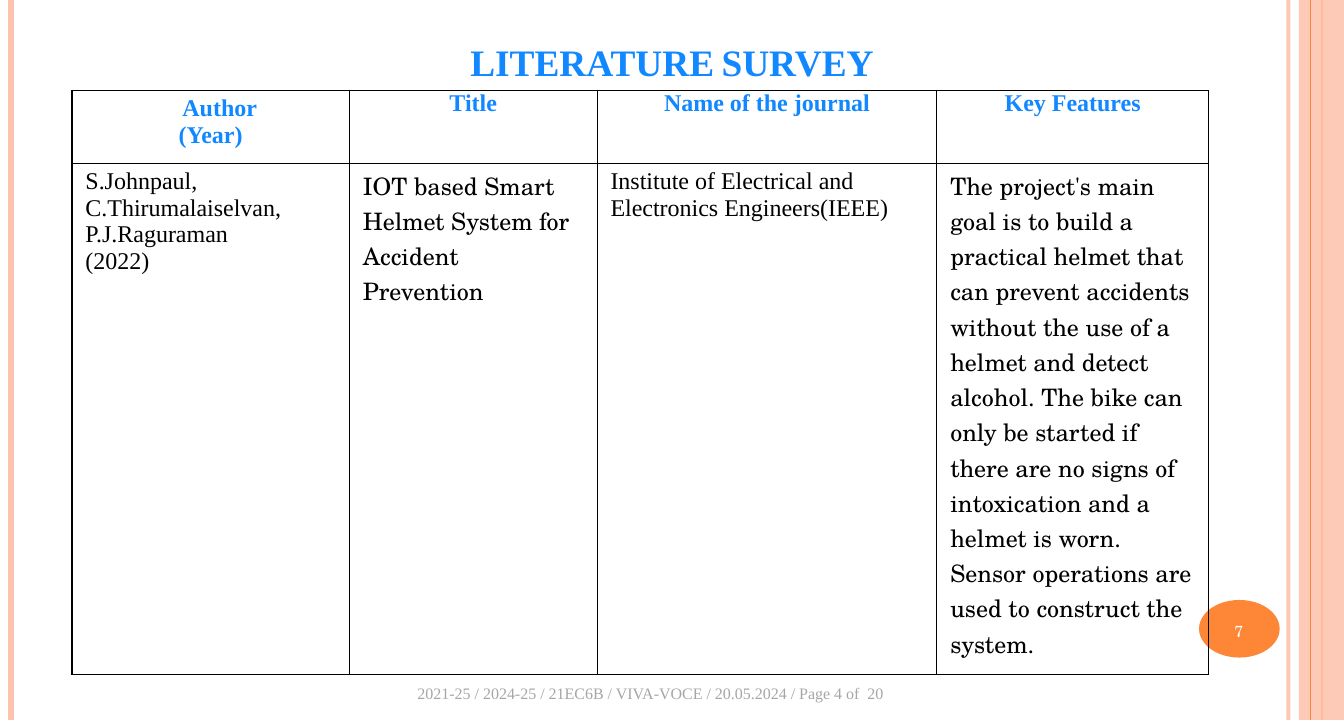
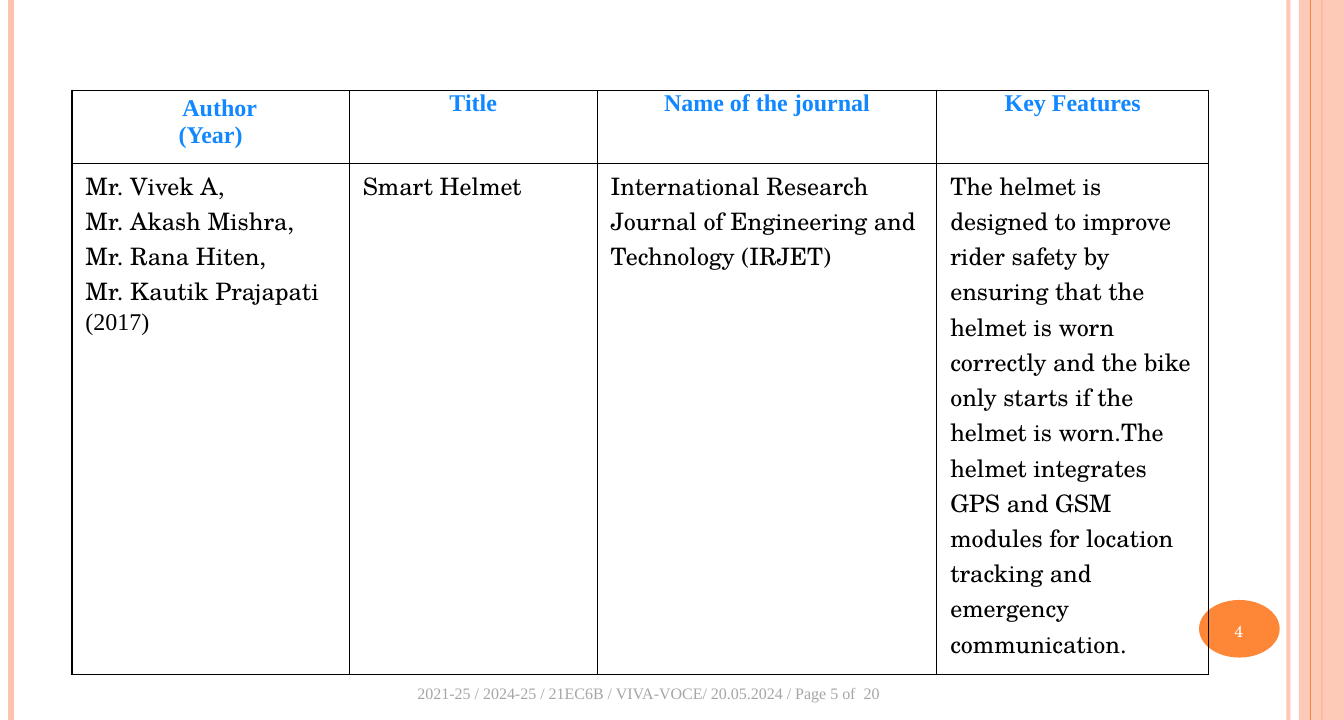
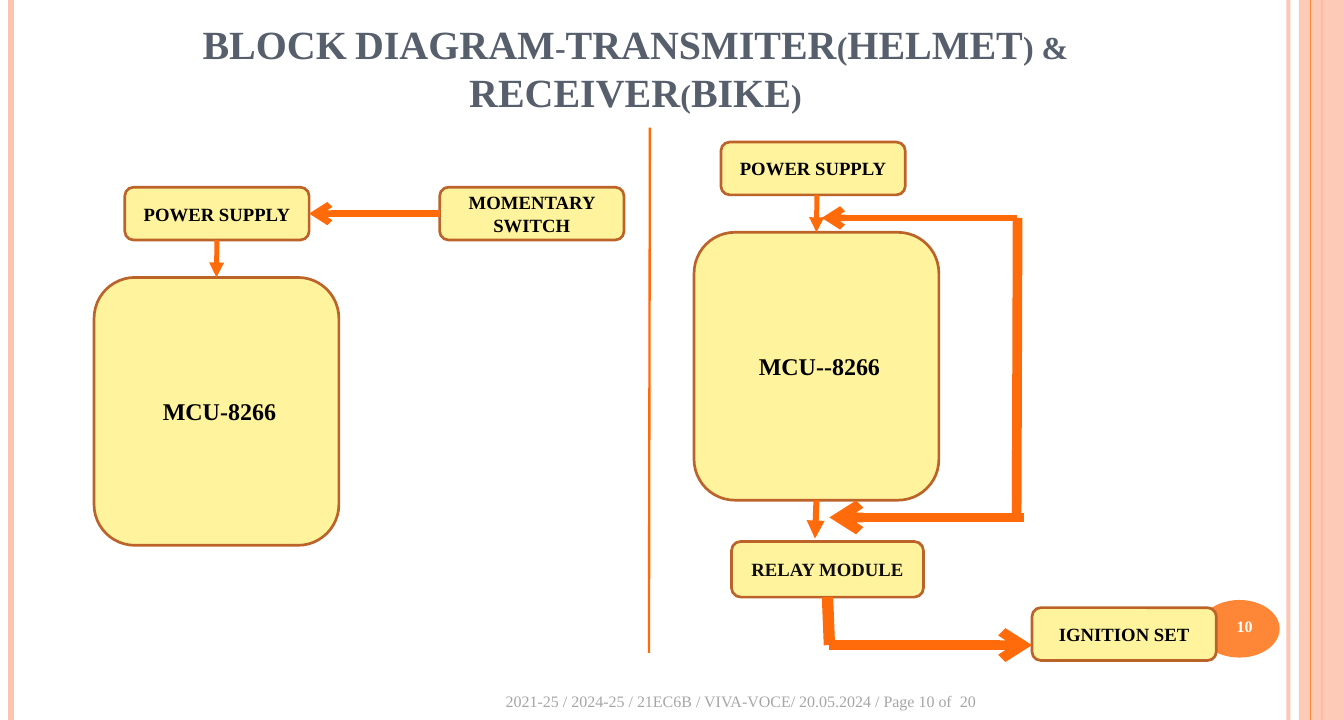
from dataclasses import dataclass
from typing import NamedTuple

from lxml.etree import SubElement
from pptx import Presentation
from pptx.dml.color import RGBColor
from pptx.enum.shapes import MSO_CONNECTOR, MSO_SHAPE
from pptx.enum.text import MSO_ANCHOR, PP_ALIGN
from pptx.oxml.ns import qn
from pptx.util import Inches, Pt

# Slide grid: 140 columns by 75 rows
SLIDE_WIDTH, SLIDE_HEIGHT = Inches(14), Inches(7.5)
COLUMNS, ROWS = 140, 75

STRAIGHT = MSO_CONNECTOR.STRAIGHT
RECTANGLE, ELLIPSE = MSO_SHAPE.RECTANGLE, MSO_SHAPE.OVAL
ROUNDED = MSO_SHAPE.ROUNDED_RECTANGLE
LEFT, CENTER = PP_ALIGN.LEFT, PP_ALIGN.CENTER
TOP, MIDDLE, BOTTOM = MSO_ANCHOR.TOP, MSO_ANCHOR.MIDDLE, MSO_ANCHOR.BOTTOM
TOP_SIDE, LEFT_SIDE, BOTTOM_SIDE, RIGHT_SIDE = range(4)

SERIF, SCHOOL = "Times New Roman", "TeX Gyre Schola"

PEACH = RGBColor(0xFE, 0xC3, 0xAE)
ORANGE = RGBColor(0xFE, 0x86, 0x37)
ARROW_ORANGE = RGBColor(0xFF, 0x6B, 0x0A)
BROWN = RGBColor(0xBC, 0x63, 0x29)
YELLOW = RGBColor(0xFF, 0xF3, 0x9D)
BLUE = RGBColor(0x11, 0x88, 0xFF)
SLATE = RGBColor(0x57, 0x5F, 0x6D)
GRAY = RGBColor(0xA6, 0xA6, 0xA6)
NEAR_BLACK = RGBColor(0x0D, 0x0D, 0x0D)
BLACK = RGBColor(0, 0, 0)
WHITE = RGBColor(0xFF, 0xFF, 0xFF)


class Area(NamedTuple):
    left: float
    top: float
    width: float
    height: float


class Stripe(NamedTuple):
    column: float
    color: RGBColor
    weight: float
    opacity: int = 100


class Join(NamedTuple):
    block: str
    side: int


@dataclass(frozen=True)
class Block:
    name: str
    text: str
    area: Area
    size: float = 14
    color: RGBColor = BLACK


@dataclass(frozen=True)
class Arrow:
    start: tuple[float, float]
    end: tuple[float, float]
    weight: float
    head: str = ""
    begin_join: Join | None = None
    end_join: Join | None = None


@dataclass(frozen=True)
class Line:
    text: str
    font: str = SCHOOL
    indent: float = 0


@dataclass(frozen=True)
class Survey:
    title: str
    cells: tuple[tuple[Line, ...], ...]
    footer: str
    number: str


def column(count: float) -> int:
    return round(SLIDE_WIDTH * count / COLUMNS)


def row(count: float) -> int:
    return round(SLIDE_HEIGHT * count / ROWS)


def place(area: Area) -> tuple[int, int, int, int]:
    return column(area.left), row(area.top), column(area.width), row(area.height)


def set_opacity(shape, percent: int) -> None:
    for color in shape._element.spPr.iter(qn("a:srgbClr")):
        SubElement(color, qn("a:alpha"), val=str(percent * 1000))


def write_text(frame, text: str, *, size: float = 12, font: str = SERIF,
               color: RGBColor = BLACK, bold: bool = False, align=LEFT,
               small_caps: bool = False, indent: float = 0) -> None:
    """Fill the first paragraph of the frame, or add another one."""
    paragraph = frame.paragraphs[0]
    if paragraph.runs:
        paragraph = frame.add_paragraph()
    paragraph.alignment = align
    if indent:
        paragraph._p.get_or_add_pPr().set("marL", str(Pt(indent)))
    run = paragraph.add_run()
    run.text = text
    run.font.size, run.font.name, run.font.bold = Pt(size), font, bold
    run.font.color.rgb = color
    if small_caps:
        run._r.get_or_add_rPr().set("cap", "small")


def add_text(slide, area: Area, text: str, *, anchor=TOP, wrap: bool = True,
             top_inset: float = 0.05, **text_format) -> None:
    frame = slide.shapes.add_textbox(*place(area)).text_frame
    frame.word_wrap = wrap
    frame.vertical_anchor = anchor
    frame.margin_top = Inches(top_inset)
    write_text(frame, text, **text_format)


def add_title(slide, area: Area, text: str, size: float, color: RGBColor) -> None:
    add_text(slide, area, text, anchor=BOTTOM, size=size, color=color,
             bold=True, align=CENTER, small_caps=True)


def add_shape(slide, kind, area: Area, fill: RGBColor, line: RGBColor | None = None):
    shape = slide.shapes.add_shape(kind, *place(area))
    shape.shadow.inherit = False
    shape.fill.solid()
    shape.fill.fore_color.rgb = fill
    if line is None:
        shape.line.fill.background()
    else:
        shape.line.color.rgb = line
        shape.line.width = Pt(2)
    return shape


def add_line(slide, start: tuple[float, float], end: tuple[float, float],
             color: RGBColor, weight: float, head: str = ""):
    connector = slide.shapes.add_connector(
        STRAIGHT, column(start[0]), row(start[1]), column(end[0]), row(end[1]))
    connector.line.color.rgb = color
    connector.line.width = Pt(weight)
    if head:
        SubElement(connector.line._get_or_add_ln(), qn("a:tailEnd"), type=head)
    SubElement(connector._element.spPr, qn("a:effectLst"))
    return connector


# Shared frame of every slide
STRIPES = (Stripe(134.2, PEACH, 3, 93), Stripe(1.2, PEACH, 4.5),
           Stripe(137.7, ORANGE, 1.5))
BAND = Area(135.3, 0, 4.7, ROWS)
INNER_STRIPE = Stripe(136.5, ORANGE, 0.75)
BADGE = Area(124.9, 62.5, 8.4, 6)


def add_stripe(slide, stripe: Stripe) -> None:
    line = add_line(slide, (stripe.column, 0), (stripe.column, ROWS),
                    stripe.color, stripe.weight)
    if stripe.opacity < 100:
        set_opacity(line, stripe.opacity)


def add_framed_slide(presentation):
    slide = presentation.slides.add_slide(presentation.slide_layouts[6])
    for stripe in STRIPES:
        add_stripe(slide, stripe)
    set_opacity(add_shape(slide, RECTANGLE, BAND, PEACH), 87)
    add_stripe(slide, INNER_STRIPE)
    add_shape(slide, ELLIPSE, BADGE, ORANGE)
    return slide


# Literature survey tables
TABLE_COLUMNS = (28.9, 25.8, 35.4, 28.3)
TABLE_ROWS = (7.6, 53.3)
TABLE_AREA = Area(7.5, 9.4, sum(TABLE_COLUMNS), sum(TABLE_ROWS))
HEADERS = (
    (Line("Author", SERIF, indent=13.5), Line("(Year)", SERIF)),
    (Line("Title", SERIF),),
    (Line("Name of the journal", SERIF),),
    (Line("Key Features", SERIF),),
)
SURVEYS = (
    Survey(
        "LITERATURE SURVEY",
        (
            (Line("S.Johnpaul,", SERIF), Line("C.Thirumalaiselvan,", SERIF),
             Line("P.J.Raguraman", SERIF), Line("(2022)", SERIF)),
            (Line("IOT based Smart Helmet System for Accident"), Line("Prevention")),
            (Line("Institute of Electrical and Electronics Engineers(IEEE)", SERIF),),
            (Line("The project's main goal is to build a practical helmet that can "
                  "prevent accidents without the use of a helmet and detect alcohol. "
                  "The bike can only be started if there are no signs of intoxication "
                  "and a helmet is worn. Sensor operations are used to construct the "
                  "system."),),
        ),
        "2021-25 / 2024-25 / 21EC6B / VIVA-VOCE / 20.05.2024 / Page 4 of  20",
        "7",
    ),
    Survey(
        "",
        (
            (Line("Mr. Vivek A,"), Line("Mr. Akash Mishra, Mr. Rana Hiten,"),
             Line("Mr. Kautik Prajapati"), Line("(2017)", SERIF)),
            (Line("Smart Helmet"),),
            (Line("International Research Journal of Engineering and Technology "
                  "(IRJET)"),),
            (Line("The helmet is designed to improve rider safety by ensuring that "
                  "the helmet is worn correctly and the bike only starts if the helmet "
                  "is worn.The helmet integrates GPS and GSM modules for location "
                  "tracking and emergency communication."),),
        ),
        "2021-25 / 2024-25 / 21EC6B / VIVA-VOCE/ 20.05.2024 / Page 5 of  20",
        "4",
    ),
)


def style_cell(cell, roomy: bool) -> None:
    side, end = (0.14, 0.05) if roomy else (0.1, 0)
    cell.margin_left = cell.margin_right = Inches(side)
    cell.margin_top = cell.margin_bottom = Inches(end)
    properties = cell._tc.get_or_add_tcPr()
    for edge in ("a:lnL", "a:lnR", "a:lnT", "a:lnB"):
        border = SubElement(properties, qn(edge), w=str(Pt(1)))
        fill = SubElement(border, qn("a:solidFill"))
        SubElement(fill, qn("a:srgbClr"), val=str(BLACK))
    cell.fill.background()


def add_survey_table(slide, cells: tuple[tuple[Line, ...], ...]) -> None:
    table = slide.shapes.add_table(
        len(TABLE_ROWS), len(TABLE_COLUMNS), *place(TABLE_AREA)).table
    table.first_row = table.horz_banding = False
    for table_column, width in zip(table.columns, TABLE_COLUMNS):
        table_column.width = column(width)
    for table_row, height in zip(table.rows, TABLE_ROWS):
        table_row.height = row(height)
    for row_index, row_cells in enumerate((HEADERS, cells)):
        header = row_index == 0
        for column_index, lines in enumerate(row_cells):
            cell = table.cell(row_index, column_index)
            style_cell(cell, roomy=not header or column_index == 0)
            for line in lines:
                write_text(cell.text_frame, line.text, size=18, font=line.font,
                           color=BLUE if header else BLACK, bold=header,
                           align=CENTER if header else LEFT, indent=line.indent)


def build_survey(presentation, survey: Survey) -> None:
    slide = add_framed_slide(presentation)
    if survey.title:
        add_title(slide, Area(7, 3, 126, 6.2), survey.title, 28, BLUE)
    add_survey_table(slide, survey.cells)
    add_text(slide, Area(42.5, 71, 97.5, 4), survey.footer, color=GRAY, top_inset=0.02)
    add_text(slide, Area(127.6, 64.3, 2.9, 3), survey.number, wrap=False,
             font=SCHOOL, color=WHITE)


# Block diagram
def small_block(name: str, text: str, left: float, top: float) -> Block:
    return Block(name, text, Area(left, top, 19.2, 5.5))


def controller_block(name: str, text: str, left: float, top: float) -> Block:
    return Block(name, text, Area(left, top, 25.5, 27.9), size=18)


BLOCKS = (
    controller_block("helmet controller", " MCU-8266", 9.8, 28.9),
    small_block("helmet power", "POWER SUPPLY", 13, 19.5),
    small_block("switch", "MOMENTARY SWITCH", 45.8, 19.5),
    controller_block("bike controller", " MCU--8266", 72.3, 24.2),
    Block("relay", "RELAY MODULE", Area(76.2, 56.4, 20, 5.8), color=NEAR_BLACK),
    small_block("bike power", "POWER SUPPLY", 75.1, 14.8),
    small_block("ignition", "IGNITION SET", 107.5, 63.3),
)
ARROWS = (
    # Bike: supply, controller and relay
    Arrow((85.1, 20.3), (85.1, 24.2), 3.75, "triangle",
          end_join=Join("bike controller", TOP_SIDE)),
    Arrow((84.9, 52.1), (84.9, 56.1), 4.5, "triangle",
          begin_join=Join("bike controller", BOTTOM_SIDE)),
    # Bike: feedback loop
    Arrow((106.7, 53.9), (86.4, 53.9), 7.25, "arrow"),
    Arrow((106, 22.7), (105.9, 53.9), 7.25),
    Arrow((105.9, 22.7), (85.6, 22.7), 5, "arrow"),
    # Bike: relay to ignition
    Arrow((86.2, 62.2), (86.4, 67.2), 8.5, begin_join=Join("relay", BOTTOM_SIDE)),
    Arrow((86.4, 67.2), (107.5, 67.2), 7.25, "arrow"),
    # Helmet
    Arrow((45.8, 22.7), (31.7, 22.7), 5, "arrow",
          Join("switch", LEFT_SIDE), Join("helmet power", RIGHT_SIDE)),
    Arrow((22.6, 25), (22.6, 28.9), 3.75, "triangle",
          Join("helmet power", BOTTOM_SIDE), Join("helmet controller", TOP_SIDE)),
    # Divider between helmet and bike
    Arrow((67.7, 13.3), (67.6, 68), 1.75),
)


def add_block(slide, block: Block):
    shape = add_shape(slide, ROUNDED, block.area, YELLOW, BROWN)
    shape.text_frame.word_wrap = True
    shape.text_frame.vertical_anchor = MIDDLE
    write_text(shape.text_frame, block.text, size=block.size, color=block.color,
               bold=True, align=CENTER)
    return shape


def build_diagram(presentation) -> None:
    slide = add_framed_slide(presentation)
    add_title(slide, Area(9.2, 0, 114, 12.5),
              "BLOCK DIAGRAM-TRANSMITER(HELMET) & RECEIVER(BIKE)", 30, SLATE)
    add_text(slide, Area(125, 62.4, 9.3, 5.7), "10", anchor=MIDDLE, color=WHITE,
             bold=True, align=CENTER)
    add_text(slide, Area(51.7, 71.5, 51.6, 3.5),
             "2021-25 / 2024-25 / 21EC6B / VIVA-VOCE/ 20.05.2024 / Page 10 of  20",
             wrap=False, color=GRAY)
    shapes = {block.name: add_block(slide, block) for block in BLOCKS}
    for arrow in ARROWS:
        connector = add_line(slide, arrow.start, arrow.end, ARROW_ORANGE,
                             arrow.weight, arrow.head)
        if arrow.begin_join:
            connector.begin_connect(shapes[arrow.begin_join.block], arrow.begin_join.side)
        if arrow.end_join:
            connector.end_connect(shapes[arrow.end_join.block], arrow.end_join.side)


def main() -> None:
    presentation = Presentation()
    presentation.slide_width, presentation.slide_height = SLIDE_WIDTH, SLIDE_HEIGHT
    for survey in SURVEYS:
        build_survey(presentation, survey)
    build_diagram(presentation)
    presentation.save("out.pptx")


if __name__ == "__main__":
    main()
